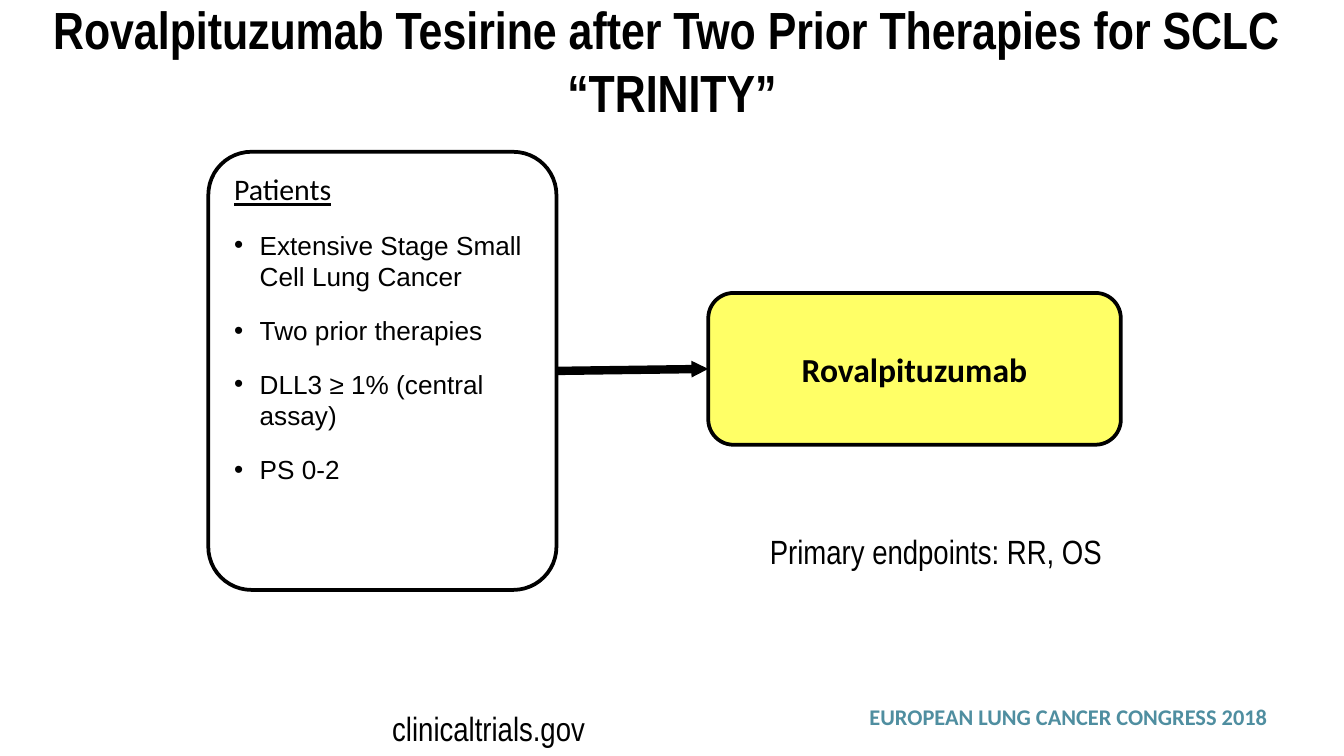
import pptx
import pptx.util
import pptx.dml.color
import pptx.enum.shapes
import pptx.enum.text
import pptx.oxml.ns
from lxml import etree

Inches = pptx.util.Inches
Pt = pptx.util.Pt
ALIGN = pptx.enum.text.PP_ALIGN
ANCHOR = pptx.enum.text.MSO_ANCHOR
qn = pptx.oxml.ns.qn

BLACK, YELLOW, TEAL = "000000", "FFFF66", "4F8EA0"

SLIDE_WIDTH = 10
SLIDE_HEIGHT = SLIDE_WIDTH * 9 / 16
TITLE = ["Rovalpituzumab Tesirine after Two Prior Therapies for SCLC ", "“TRINITY”"]
CRITERIA_HEADING = "Patients"
CRITERIA = [
    "Extensive Stage Small Cell Lung Cancer",
    "Two prior therapies",
    "DLL3 ≥ 1% (central assay)",
    "PS 0-2",
]
TREATMENT = "Rovalpituzumab"
FOOTER = "EUROPEAN LUNG CANCER CONGRESS 2018"
NOTES = [
    ("Primary endpoints: RR, OS", (5.63, 3.9, 2.7, 0.4)),
    ("clinicaltrials.gov", (2.82, 5.22, 1.65, 0.4)),
]
TITLE_AREA = (0, 0, SLIDE_WIDTH, 0.89)
FOOTER_AREA = (4.18, 5.18, 5.35, 0.3)
PATIENTS_AREA = (1.55, 1.13, 2.59, 3.26)
TREATMENT_AREA = (5.27, 2.18, 3.07, 1.13)
BULLET_INDENT = 0.19


def color(value):
    return pptx.dml.color.RGBColor.from_string(value)


def add_run(paragraph, text, size, font, fill=BLACK, bold=False, underline=False):
    run = paragraph.add_run()
    run.text = text
    run.font.size = Pt(size)
    run.font.name = font
    run.font.color.rgb = color(fill)
    run.font.bold = bold
    run.font.underline = underline


def add_text(slide, area, align=ALIGN.LEFT, anchor=ANCHOR.TOP, wrap=True):
    frame = slide.shapes.add_textbox(*map(Inches, area)).text_frame
    frame.word_wrap = wrap
    frame.vertical_anchor = anchor
    frame.paragraphs[0].alignment = align
    return frame.paragraphs[0]


def add_box(slide, area, corner, anchor, fill=None):
    shape = slide.shapes.add_shape(
        pptx.enum.shapes.MSO_SHAPE.ROUNDED_RECTANGLE, *map(Inches, area))
    shape.adjustments[0] = corner
    shape.shadow.inherit = False
    if fill:
        shape.fill.solid()
        shape.fill.fore_color.rgb = color(fill)
    else:
        shape.fill.background()
    shape.line.color.rgb = color(BLACK)
    shape.line.width = Pt(2)
    shape.text_frame.word_wrap = True
    shape.text_frame.vertical_anchor = anchor
    return shape


def add_bullet(paragraph):
    properties = paragraph._p.get_or_add_pPr()
    properties.set("marL", str(Inches(BULLET_INDENT)))
    properties.set("indent", str(-Inches(BULLET_INDENT)))
    etree.SubElement(properties, qn("a:buFont")).set("typeface", "Arial")
    etree.SubElement(properties, qn("a:buChar")).set("char", "•")


def add_arrow(slide, start, end):
    arrow = slide.shapes.add_connector(
        pptx.enum.shapes.MSO_CONNECTOR.STRAIGHT, *map(Inches, start + end))
    arrow.line.color.rgb = color(BLACK)
    arrow.line.width = Pt(4.5)
    etree.SubElement(arrow.line._get_or_add_ln(), qn("a:tailEnd"),
                     type="triangle", w="sm", len="sm")
    etree.SubElement(arrow._element.spPr, qn("a:effectLst"))


def fill_patients(frame):
    add_run(frame.paragraphs[0], CRITERIA_HEADING, 16, "Calibri", underline=True)
    for criterion in CRITERIA:
        add_run(frame.add_paragraph(), criterion, 14, "Arial")
    for paragraph in frame.paragraphs:
        paragraph.alignment = ALIGN.LEFT
        paragraph.space_after = Pt(12)
    for paragraph in frame.paragraphs[1:]:
        add_bullet(paragraph)


def main():
    presentation = pptx.Presentation()
    presentation.slide_width = Inches(SLIDE_WIDTH)
    presentation.slide_height = Inches(SLIDE_HEIGHT)
    slide = presentation.slides.add_slide(presentation.slide_layouts[6])

    footer = add_text(slide, FOOTER_AREA, ALIGN.RIGHT)
    add_run(footer, FOOTER, 12, "Calibri", TEAL, bold=True)

    title = add_text(slide, TITLE_AREA, ALIGN.CENTER, ANCHOR.MIDDLE)
    for index, line in enumerate(TITLE):
        if index:
            title.add_line_break()
        add_run(title, line, 28, "Arial Narrow", bold=True)

    treatment = add_box(slide, TREATMENT_AREA, 0.167, ANCHOR.MIDDLE, YELLOW)
    paragraph = treatment.text_frame.paragraphs[0]
    paragraph.alignment = ALIGN.CENTER
    add_run(paragraph, TREATMENT, 18, "Calibri", bold=True)

    left, top, width, height = PATIENTS_AREA
    target_left, target_top, _, target_height = TREATMENT_AREA
    add_arrow(slide, (left + width, top + height / 2),
              (target_left, target_top + target_height / 2))

    patients = add_box(slide, PATIENTS_AREA, 0.124, ANCHOR.TOP)
    fill_patients(patients.text_frame)

    for text, area in NOTES:
        add_run(add_text(slide, area, wrap=False), text, 18, "Arial Narrow")

    presentation.save("out.pptx")


if __name__ == "__main__":
    main()
